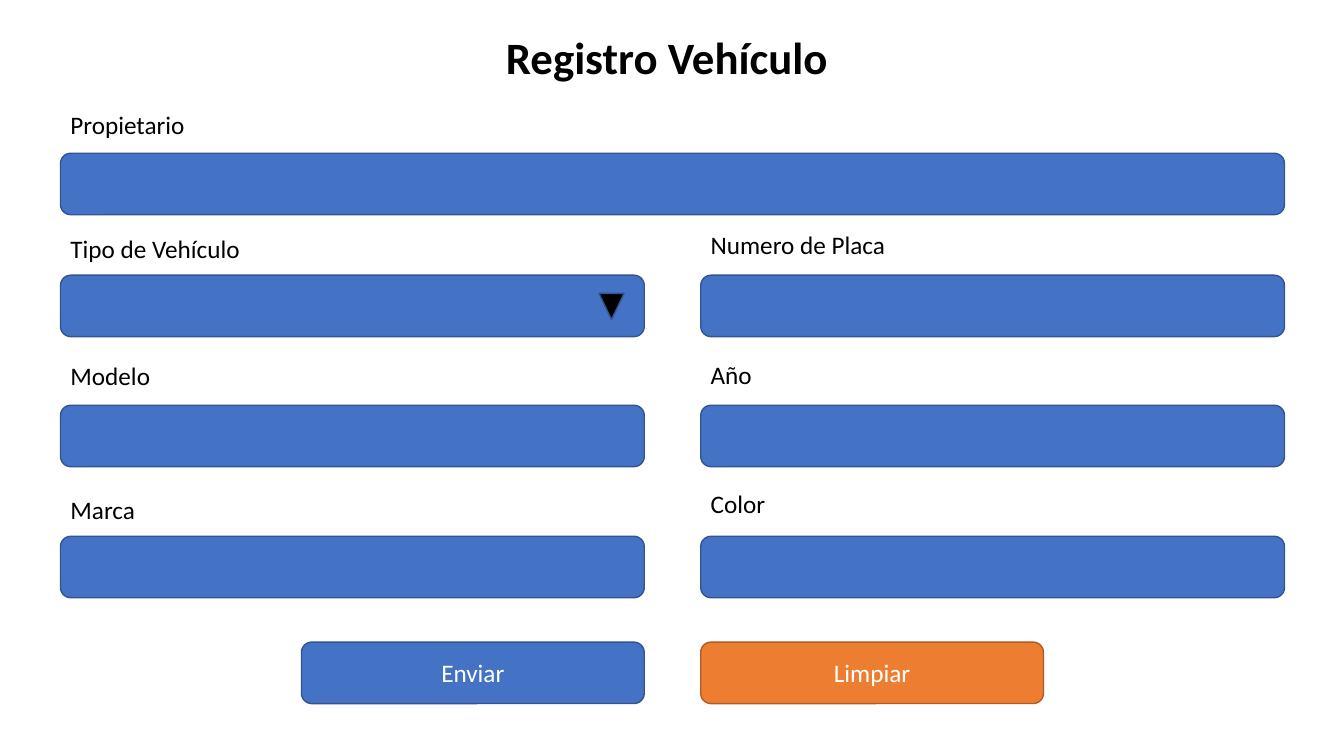
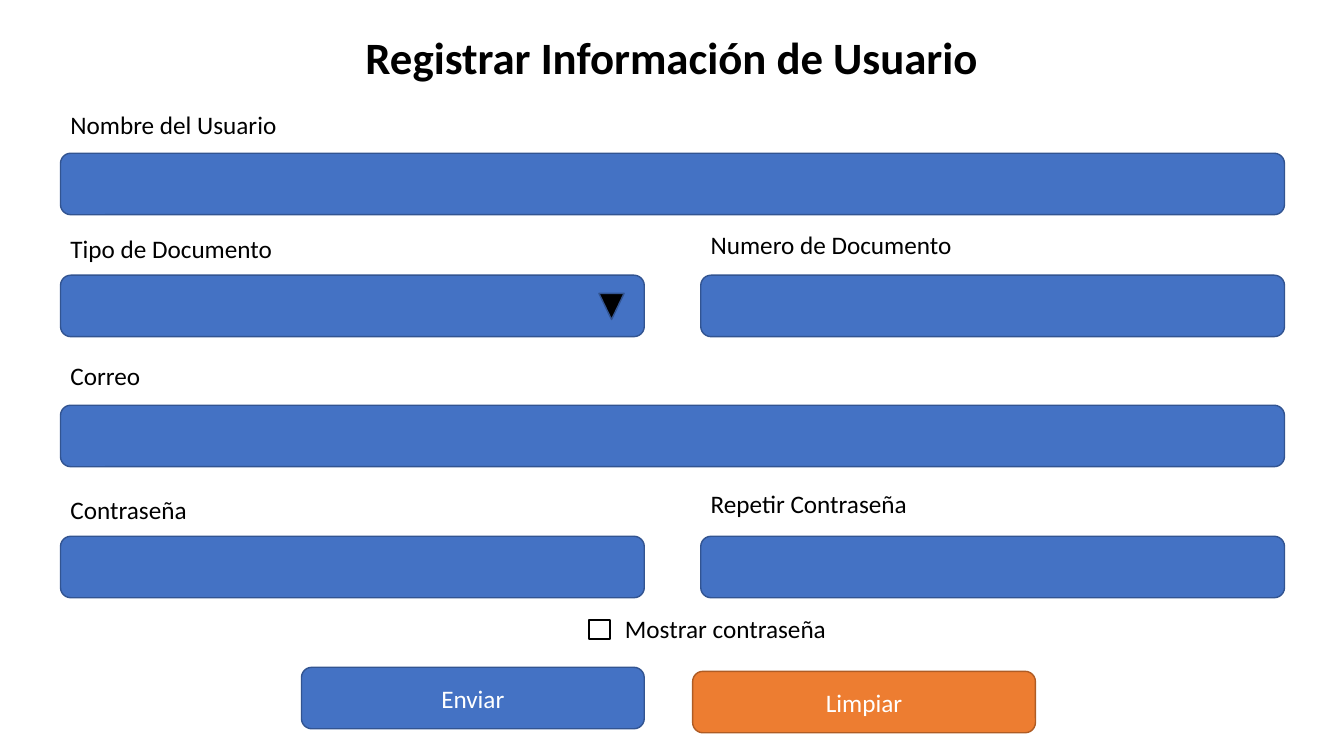
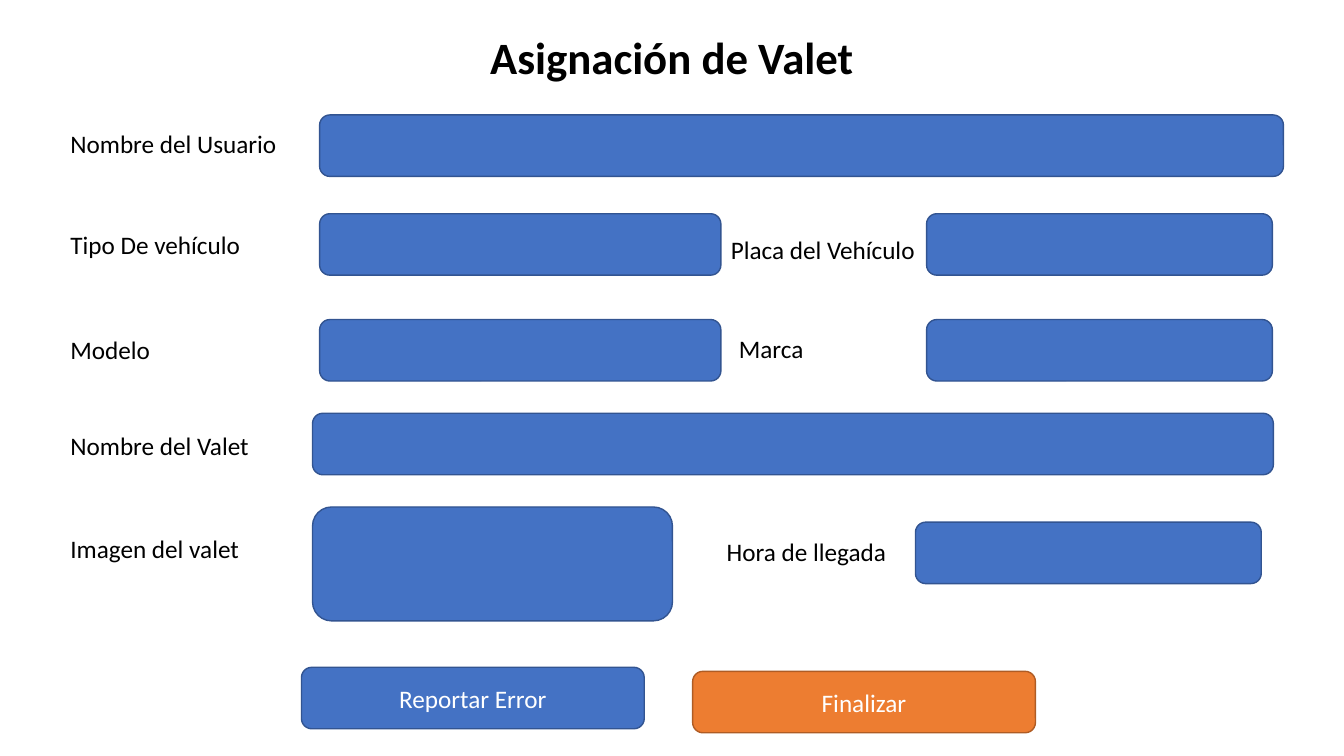
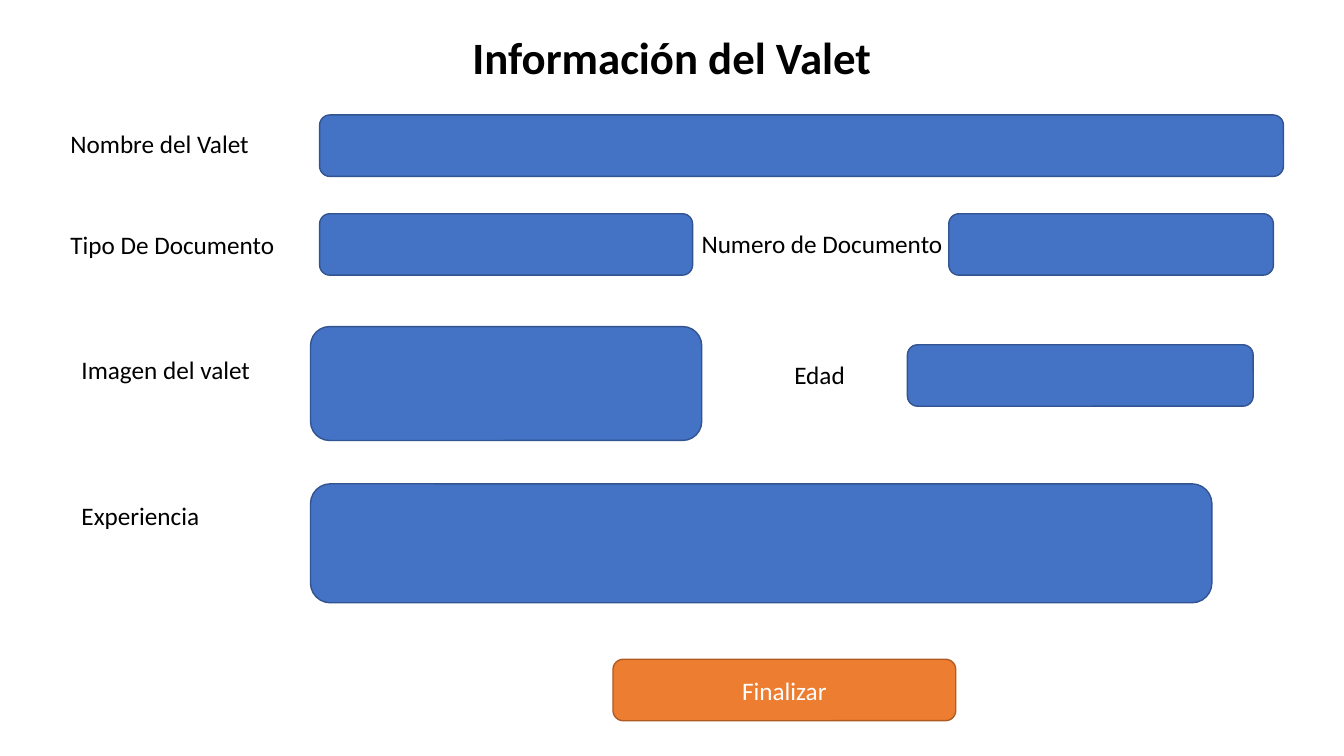
from collections import namedtuple

from pptx import Presentation
from pptx.dml.color import RGBColor
from pptx.enum.shapes import MSO_SHAPE
from pptx.enum.text import MSO_ANCHOR, MSO_AUTO_SIZE, PP_ALIGN
from pptx.util import Inches, Pt

WIDE, HIGH = 13.33, 7.5
FONT = "Calibri"
BLUE, NAVY = "4472C4", "325491"
ORANGE, RUST = "ED7D31", "AF5C24"
BLACK, WHITE = "000000", "FFFFFF"

LEFT, GAP, HALF = 0.6, 0.56, 5.79
FULL = 2 * HALF + GAP
BAR, TEXT = 0.61, 0.4
# Top of the bars, rise of the left label, rise of the right label
ROWS = [(1.52, 0.48, 0.48), (2.73, 0.46, 0.5),
        (4.02, 0.49, 0.5), (5.32, 0.46, 0.52)]

Box = namedtuple("Box", "x y w h", defaults=[BAR])


def color(code):
    return RGBColor.from_string(code)


def place(box):
    return [Inches(n) for n in box]


def style(frame, text, size, code, align=PP_ALIGN.LEFT, bold=False):
    """Set the text of a frame and format its run."""
    frame.text = text
    frame.word_wrap = True
    para = frame.paragraphs[0]
    para.alignment = align
    font = para.runs[0].font
    font.name, font.size, font.bold = FONT, Pt(size), bold
    font.color.rgb = color(code)


def shape(slide, box, kind=MSO_SHAPE.ROUNDED_RECTANGLE, fill=BLUE, line=NAVY):
    item = slide.shapes.add_shape(kind, *place(box))
    item.shadow.inherit = False
    item.fill.solid()
    item.fill.fore_color.rgb = color(fill)
    item.line.color.rgb = color(line)
    item.line.width = Pt(1)
    return item


def label(slide, box, text):
    style(slide.shapes.add_textbox(*place(box)).text_frame, text, 18, BLACK)


def button(slide, x, y, text, fill=BLUE, line=NAVY):
    frame = shape(slide, Box(x, y, 3.4), fill=fill, line=line).text_frame
    frame.vertical_anchor = MSO_ANCHOR.MIDDLE
    style(frame, text, 18, WHITE, PP_ALIGN.CENTER)


def arrow(slide, box):
    """Put the drop-down mark at the right end of a bar."""
    spot = Box(box.x + box.w - 0.45, box.y + 0.18, 0.25, 0.26)
    shape(slide, spot, MSO_SHAPE.ISOSCELES_TRIANGLE, BLACK).rotation = 180


def check(slide, x, y, text):
    shape(slide, Box(x, y + 0.11, 0.21, 0.19), MSO_SHAPE.RECTANGLE, WHITE, BLACK)
    label(slide, Box(x + 0.26, y, 2.37, TEXT), text)


def stack(slide, rows):
    """Rows of one or two bars, each under its label."""
    for (top, *rises), names in zip(ROWS, rows):
        wide = FULL if len(names) == 1 else HALF
        for col, (name, rise) in enumerate(zip(names, rises)):
            box = Box(LEFT + col * (HALF + GAP), top, wide)
            shape(slide, box)
            label(slide, Box(box.x, top - rise, HALF, TEXT), name)
    arrow(slide, Box(LEFT, ROWS[1][0], HALF))


def side(slide, fields):
    """Bars with a label to the left: name, label left, label drop, bar."""
    for name, x, drop, box in fields:
        shape(slide, box)
        label(slide, Box(x, box.y + drop, 2.7, TEXT), name)


def page(deck, title):
    slide = deck.slides.add_slide(deck.slide_layouts[5])
    head = slide.shapes.title
    head.left, head.top, head.width, head.height = place(Box(0, 0.24, WIDE, 0.64))
    frame = head.text_frame
    frame.auto_size = MSO_AUTO_SIZE.NONE
    frame.vertical_anchor = MSO_ANCHOR.TOP
    style(frame, title, 32, BLACK, PP_ALIGN.CENTER, True)
    return slide


def car(deck):
    slide = page(deck, "Registro Vehículo ")
    stack(slide, [["Propietario"], ["Tipo de Vehículo", "Numero de Placa"],
                  ["Modelo", "Año"], ["Marca", "Color"]])
    button(slide, 2.99, 6.37, "Enviar")
    button(slide, 6.95, 6.37, "Limpiar", ORANGE, RUST)


def user(deck):
    slide = page(deck, "Registrar Información de Usuario")
    stack(slide, [["Nombre del Usuario"],
                  ["Tipo de Documento", "Numero de Documento"],
                  ["Correo"], ["Contraseña", "Repetir Contraseña"]])
    check(slide, 5.84, 6.04, "Mostrar contraseña")
    button(slide, 2.99, 6.62, "Enviar")
    button(slide, 6.87, 6.66, "Limpiar", ORANGE, RUST)


def task(deck):
    slide = page(deck, "Asignación de Valet")
    side(slide, [
        ("Nombre del Usuario", LEFT, 0.08, Box(3.17, 1.14, 9.56)),
        ("Tipo De vehículo", LEFT, 0.11, Box(3.17, 2.12, 3.98)),
        ("Placa del Vehículo", 7.15, 0.16, Box(9.19, 2.12, 3.43)),
        ("Modelo", LEFT, 0.1, Box(3.17, 3.17, 3.98)),
        ("Marca", 7.23, 0.09, Box(9.19, 3.17, 3.43)),
        ("Nombre del Valet", LEFT, 0.12, Box(3.1, 4.1, 9.53)),
        ("Imagen del valet", LEFT, 0.21, Box(3.1, 5.03, 3.57, 1.13)),
        ("Hora de llegada", 7.11, 0.09, Box(9.08, 5.18, 3.43)),
    ])
    button(slide, 2.99, 6.62, "Reportar Error")
    button(slide, 6.87, 6.66, "Finalizar", ORANGE, RUST)


def valet(deck):
    slide = page(deck, "Información del Valet")
    side(slide, [
        ("Nombre del Valet", LEFT, 0.08, Box(3.17, 1.14, 9.56)),
        ("Tipo De Documento", LEFT, 0.11, Box(3.17, 2.12, 3.7)),
        ("Numero de Documento", 6.86, 0.1, Box(9.41, 2.12, 3.22)),
        ("Imagen del valet", 0.71, 0.23, Box(3.08, 3.24, 3.88, 1.13)),
        ("Edad", 7.78, 0.1, Box(9, 3.42, 3.43)),
        ("Experiencia", 0.71, 0.11, Box(3.08, 4.8, 8.94, 1.18)),
    ])
    button(slide, 6.08, 6.54, "Finalizar", ORANGE, RUST)


def main():
    deck = Presentation()
    deck.slide_width, deck.slide_height = Inches(WIDE), Inches(HIGH)
    for build in (car, user, task, valet):
        build(deck)
    deck.save("out.pptx")


if __name__ == "__main__":
    main()
